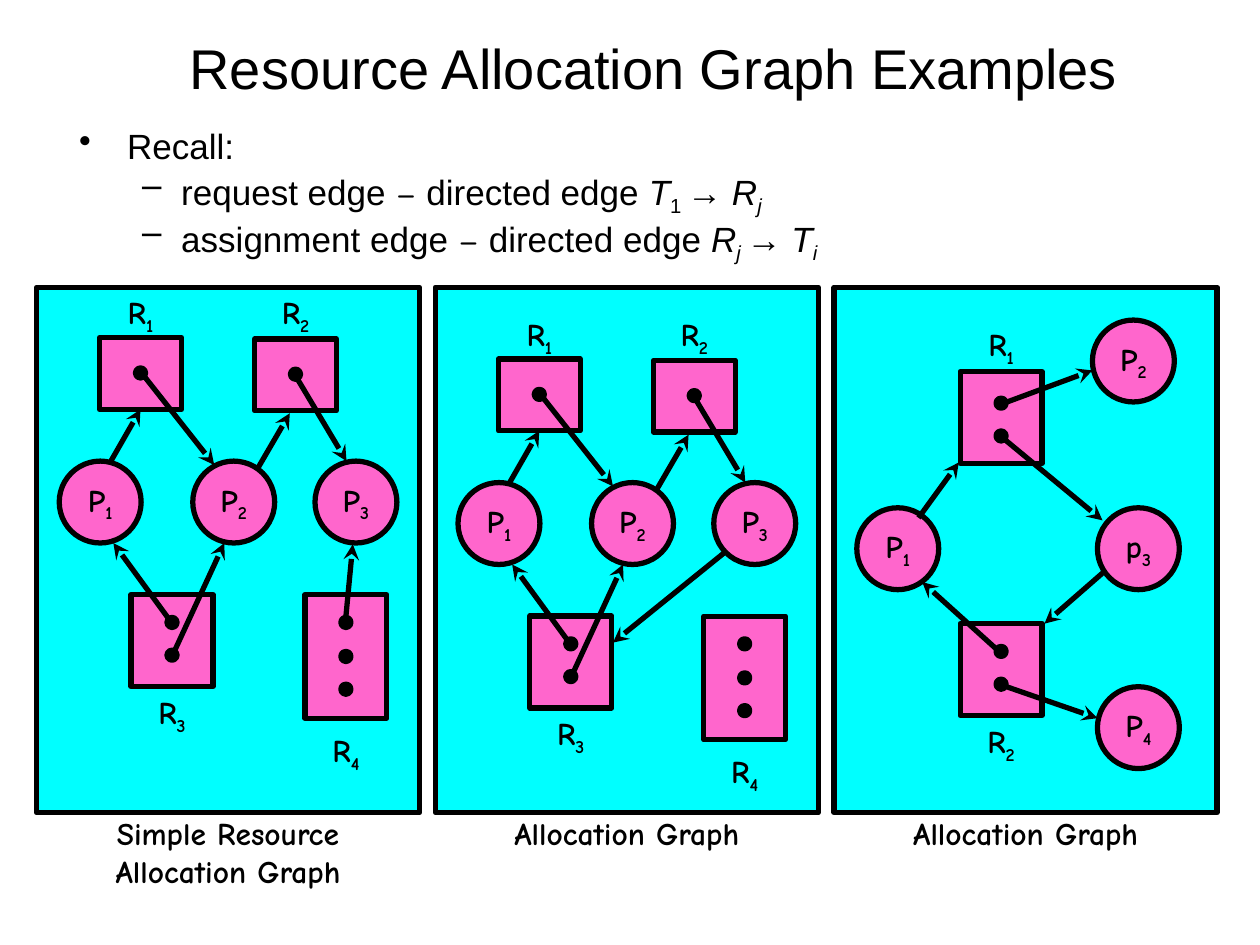
from lxml import etree
from pptx import Presentation
from pptx import util as u
from pptx.dml.color import RGBColor
from pptx.enum import shapes, text
from pptx.oxml import ns

BLACK, PINK, CYAN = "000000", "FF66CC", "00FFFF"
SANS, COMIC = "Arial", "Comic Neue"
COLUMNS, ROWS = 304, 417
NODE, DOT, LABEL_HEIGHT = 65, 8, 44
PANEL_TOP, PANEL_WIDTH, PANEL_HEIGHT = 2.28, 3.04, 4.17
PANEL_LEFT, PANEL_STEP = 0.29, 3.165

TITLE = "Resource Allocation Graph Examples"
BULLETS = [
    (0, [("Recall:", "")]),
    (1, [("request edge ", ""), ("–", "c"), (" directed edge ", ""), ("T", "i"),
         ("1 ", "s"), ("→ ", ""), ("R", "i"), ("j", "is")]),
    (1, [("assignment edge ", ""), ("–", "c"), (" directed edge ", ""), ("R", "i"),
         ("j ", "is"), ("→ ", ""), ("T", "i"), ("i", "is")]),
]

ROW_PROCESSES = [("P1", 18, 138), ("P2", 124, 138), ("P3", 221, 138)]
ROW_RESOURCES = [
    ("R1", 50, 40, 57, 0, [64]),
    ("R2", 173, 41, 57, 0, [65]),
    ("R3", 75, 244, 73, 317, [262, 288]),
    ("R4", 213, 244, 98, 347, [262, 289, 315]),
]
ROW_EDGES = [
    ((59, 138), "R1"),
    ((85, 70), (141, 141)),
    ((176, 143), (201, 100)),
    ((206, 71), (246, 138)),
    ((107, 266), (61, 203)),
    ((108, 292), (149, 203)),
]
RING_PROCESSES = [("P1", 18, 175), ("P2", 205, 26), ("p3", 209, 175), ("P4", 209, 317)]
RING_RESOURCES = [
    ("R2", 100, 267, 73, 340, [285, 311]),
    ("R1", 100, 67, 73, 25, [88, 114]),
]
RING_EDGES = [
    ((67, 183), (99, 139)),
    ((132, 290), (70, 234)),
    ((131, 315), (209, 342)),
    ((214, 226), (167, 267)),
    ((132, 118), (213, 185)),
    ((132, 93), (205, 66)),
]
GRAPHS = [
    (["Simple Resource", "Allocation Graph"], 0, ROW_PROCESSES, ROW_RESOURCES,
     ROW_EDGES + [((245, 267), (251, 204))]),
    (["Allocation Graph"], 17, ROW_PROCESSES, ROW_RESOURCES,
     ROW_EDGES + [((229, 194), (141, 265))]),
    (["Allocation Graph"], 0, RING_PROCESSES, RING_RESOURCES, RING_EDGES),
]


def color(value):
    """Turn a hex string into a colour."""
    return RGBColor.from_string(value)


def set_font(paragraph, name, size, bold=False):
    """Set the font that all runs of a paragraph share."""
    font = paragraph.font
    font.name, font.size, font.bold = name, u.Pt(size), bold
    font.color.rgb = color(BLACK)


def add_run(paragraph, words, style=""):
    """Add a run; style letters are i italic, s subscript, c comic."""
    run = paragraph.add_run()
    run.text = words
    if "i" in style:
        run.font.italic = True
    if "c" in style:
        run.font.name = COMIC
    if "s" in style:
        run.font._element.set("baseline", "-25000")


def write_name(paragraph, name):
    """Write a node name with its number as a subscript."""
    paragraph.alignment = text.PP_ALIGN.CENTER
    add_run(paragraph, name[0])
    add_run(paragraph, name[1:], "s")
    set_font(paragraph, COMIC, 18, True)


def add_block(group, kind, box, fill):
    """Add a filled shape with a heavy black outline."""
    shape = group.shapes.add_shape(kind, *box)
    shape.shadow.inherit = False
    shape.fill.solid()
    shape.fill.fore_color.rgb = color(fill)
    shape.line.color.rgb = color(BLACK)
    shape.line.width = u.Pt(3)
    return shape


def add_label(group, box):
    """Add an unwrapped text box and return its frame."""
    frame = group.shapes.add_textbox(*box).text_frame
    frame.word_wrap = False
    return frame


def add_process(group, place, name, left, top):
    """Add a named process circle."""
    circle = add_block(group, shapes.MSO_SHAPE.OVAL, place(left, top, NODE, NODE), PINK)
    frame = circle.text_frame
    frame.word_wrap = False
    frame.vertical_anchor = text.MSO_ANCHOR.MIDDLE
    write_name(frame.paragraphs[0], name)


def add_resource(group, place, name, left, top, height, label_top, dot_tops):
    """Add a resource box with its instance dots and label."""
    block = add_block(group, shapes.MSO_SHAPE.RECTANGLE,
                      place(left, top, NODE, height), PINK)
    for dot_top in dot_tops:
        dot_left = left + (NODE - DOT) / 2
        add_block(group, shapes.MSO_SHAPE.OVAL, place(dot_left, dot_top, DOT, DOT), BLACK)
    frame = add_label(group, place(left, label_top, NODE, LABEL_HEIGHT))
    write_name(frame.paragraphs[0], name)
    return block


def add_edge(group, place, resources, start, end):
    """Draw an arrow to a point or to the bottom of a named resource."""
    finish = start if end in resources else end
    edge = group.shapes.add_connector(shapes.MSO_CONNECTOR.STRAIGHT,
                                      *place(*start)[:2], *place(*finish)[:2])
    if end in resources:
        edge.end_connect(resources[end], 2)
    edge.line.color.rgb = color(BLACK)
    edge.line.width = u.Pt(3)
    line = edge.line._get_or_add_ln()
    etree.SubElement(line, ns.qn("a:tailEnd"), type="stealth")
    etree.SubElement(edge._element.spPr, ns.qn("a:effectLst"))


def add_graph(slide, box, caption, shift, processes, resources, edges):
    """Draw one captioned allocation graph in its box."""
    left, top, width, height = box
    group = slide.shapes.add_group_shape()

    def place(column, row, columns=0, rows=0, offset=shift):
        """Turn grid cells of the panel into slide lengths."""
        return [u.Inches(value) for value in (
            left + column * width / COLUMNS, top + (row + offset) * height / ROWS,
            columns * width / COLUMNS, rows * height / ROWS)]

    add_block(group, shapes.MSO_SHAPE.RECTANGLE,
              place(0, 0, COLUMNS, ROWS, offset=0), CYAN)
    for process in processes:
        add_process(group, place, *process)
    blocks = {resource[0]: add_resource(group, place, *resource) for resource in resources}
    for start, end in edges:
        add_edge(group, place, blocks, start, end)
    frame = add_label(group, place(52, 413, 200, 70, offset=0))
    for index, words in enumerate(caption):
        paragraph = frame.add_paragraph() if index else frame.paragraphs[0]
        paragraph.alignment = text.PP_ALIGN.CENTER
        add_run(paragraph, words)
        set_font(paragraph, COMIC, 18, True)


def add_title(slide, box):
    """Write the slide title."""
    frame = slide.shapes.add_textbox(*map(u.Inches, box)).text_frame
    frame.word_wrap = True
    frame.vertical_anchor = text.MSO_ANCHOR.MIDDLE
    paragraph = frame.paragraphs[0]
    paragraph.alignment = text.PP_ALIGN.CENTER
    add_run(paragraph, TITLE)
    set_font(paragraph, SANS, 32)


def add_bullets(slide, box):
    """Write the two-level bullet list."""
    frame = slide.shapes.add_textbox(*map(u.Inches, box)).text_frame
    frame.word_wrap = True
    for index, (level, runs) in enumerate(BULLETS):
        paragraph = frame.add_paragraph() if index else frame.paragraphs[0]
        margin, indent, mark = [(0.38, -0.38, "•"), (0.81, -0.31, "–")][level]
        paragraph.level = level
        paragraph.line_spacing = 0.8
        if index:
            paragraph.space_before = u.Pt(5)
        properties = paragraph._p.get_or_add_pPr()
        properties.set("marL", str(u.Inches(margin)))
        properties.set("indent", str(u.Inches(indent)))
        etree.SubElement(properties, ns.qn("a:buChar"), char=mark)
        for words, style in runs:
            add_run(paragraph, words, style)
        set_font(paragraph, SANS, 20)


def main():
    """Build and save the slide."""
    presentation = Presentation()
    presentation.slide_width, presentation.slide_height = u.Inches(10), u.Inches(7.5)
    slide = presentation.slides.add_slide(presentation.slide_layouts[6])
    add_title(slide, (0.67, 0.25, 9.04, 0.56))
    for index, graph in enumerate(GRAPHS):
        left = PANEL_LEFT + index * PANEL_STEP
        add_graph(slide, (left, PANEL_TOP, PANEL_WIDTH, PANEL_HEIGHT), *graph)
    add_bullets(slide, (0.53, 1, 8.75, 1.42))
    presentation.save("out.pptx")


if __name__ == "__main__":
    main()
